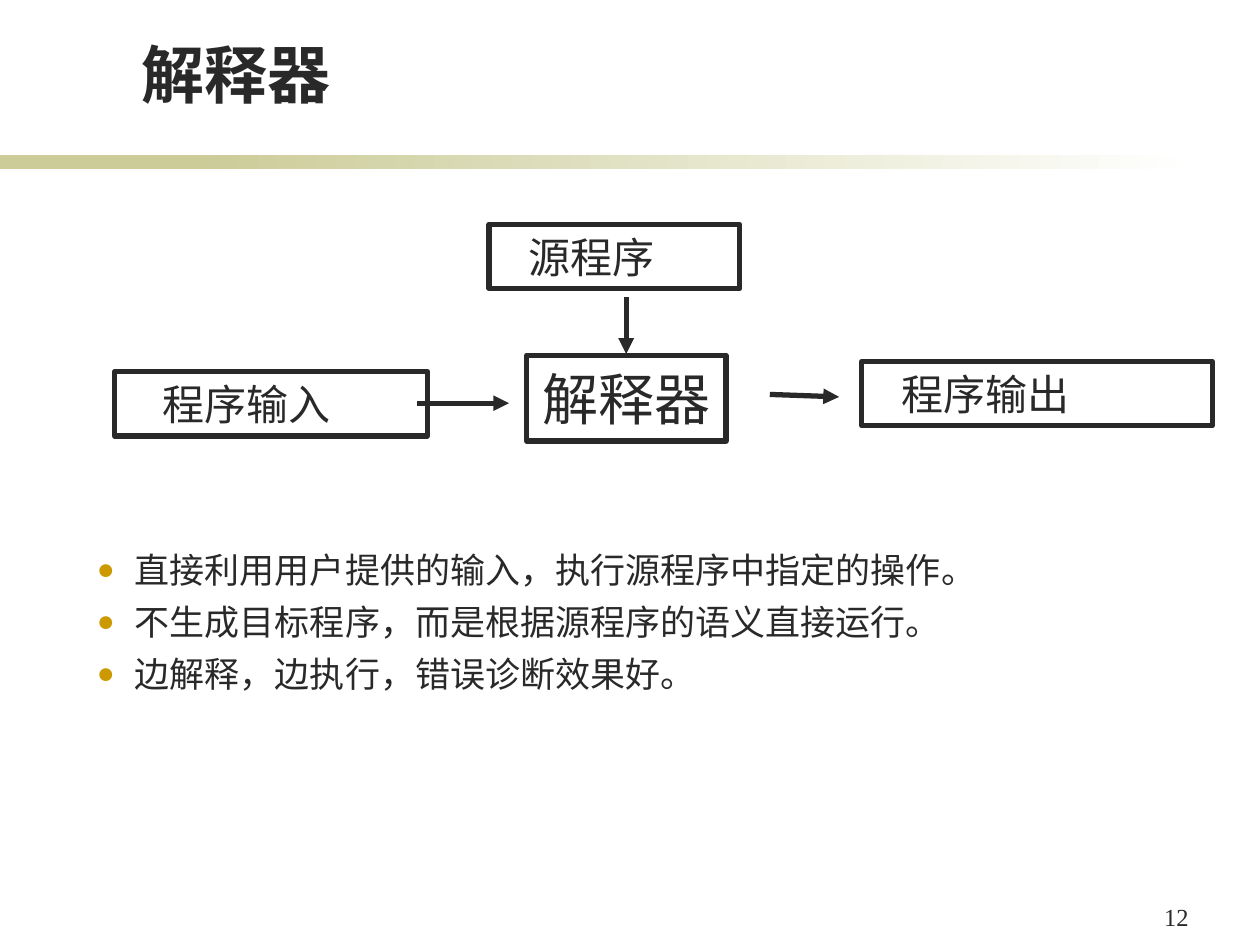
from lxml.etree import SubElement
from pptx import Presentation
from pptx.dml.color import RGBColor
from pptx.enum.shapes import MSO_CONNECTOR, MSO_SHAPE
from pptx.enum.text import MSO_ANCHOR, MSO_AUTO_SIZE, PP_ALIGN
from pptx.oxml.ns import qn
from pptx.util import Pt

COLORS = {"ink": "292929", "band": "CCCC99", "paper": "FFFFFF", "bullet": "CC9900"}


def color(name):
    return RGBColor.from_string(COLORS[name])


class SlideBuilder:
    """Holds the style and the current slide; lengths are in points."""

    font = "Arial"
    line_width = 3

    def __init__(self, page):
        self.page = page

    def place(self, box, left, top, width, height):
        box.left, box.top = Pt(left), Pt(top)
        box.width, box.height = Pt(width), Pt(height)

    def add_span(self, para, text, size, bold=False, font=None):
        span = para.add_run()
        span.text = text
        span.font.name = font or self.font
        span.font.size = Pt(size)
        span.font.bold = bold
        span.font.color.rgb = color("ink")

    def band(self, left, top, width, height, fade=False):
        shape = self.page.shapes.add_shape(
            MSO_SHAPE.RECTANGLE, Pt(left), Pt(top), Pt(width), Pt(height))
        shape.shadow.inherit = False
        shape.line.fill.background()
        if fade:
            shape.fill.gradient()
            shape.fill.gradient_angle = 0
            for stop, name in zip(shape.fill.gradient_stops, ("band", "paper")):
                stop.color.rgb = color(name)
        else:
            shape.fill.solid()
            shape.fill.fore_color.rgb = color("band")

    def title(self, text, *place):
        box = self.page.shapes.title
        self.place(box, *place)
        frame = box.text_frame
        frame.auto_size = MSO_AUTO_SIZE.NONE
        frame.vertical_anchor = MSO_ANCHOR.BOTTOM
        para = frame.paragraphs[0]
        para.alignment = PP_ALIGN.LEFT
        self.add_span(para, text, 36, bold=True)

    def bullets(self, lines, *place):
        box = self.page.placeholders[1]
        self.place(box, *place)
        frame = box.text_frame
        frame.auto_size = MSO_AUTO_SIZE.NONE
        for index, line in enumerate(lines):
            para = frame.add_paragraph() if index else frame.paragraphs[0]
            para.space_before = Pt(5.8)
            self.add_span(para, line, 20)
            self.add_bullet(para)

    def add_bullet(self, para):
        props = para._p.get_or_add_pPr()
        props.set("marL", str(Pt(21.6)))
        props.set("indent", str(-Pt(21.6)))
        tint = SubElement(props, qn("a:buClr"))
        SubElement(tint, qn("a:srgbClr"), val=COLORS["bullet"])
        SubElement(props, qn("a:buSzPct"), val="85000")
        SubElement(props, qn("a:buFont"), typeface=self.font)
        SubElement(props, qn("a:buChar"), char="●")

    def label_box(self, text, left, top, width, height, size=24, indent=None):
        """Outlined box; text is centred unless an indent is given."""
        box = self.page.shapes.add_shape(
            MSO_SHAPE.RECTANGLE, Pt(left), Pt(top), Pt(width), Pt(height))
        box.shadow.inherit = False
        box.fill.background()
        box.line.color.rgb = color("ink")
        box.line.width = Pt(self.line_width)
        frame = box.text_frame
        frame.word_wrap = indent is not None
        frame.vertical_anchor = MSO_ANCHOR.MIDDLE
        para = frame.paragraphs[0]
        if indent is None:
            para.alignment = PP_ALIGN.CENTER
        else:
            para.alignment = PP_ALIGN.LEFT
            para._p.get_or_add_pPr().set("marL", str(Pt(indent)))
        self.add_span(para, text, size)

    def arrow(self, *ends):
        line = self.page.shapes.add_connector(
            MSO_CONNECTOR.STRAIGHT, *(Pt(value) for value in ends))
        line.line.color.rgb = color("ink")
        line.line.width = Pt(self.line_width)
        SubElement(line.line._get_or_add_ln(), qn("a:tailEnd"), type="triangle")
        SubElement(line._element.spPr, qn("a:effectLst"))

    def page_number(self, text, left, top, width, height):
        box = self.page.shapes.add_textbox(Pt(left), Pt(top), Pt(width), Pt(height))
        box.text_frame.word_wrap = True
        self.add_span(box.text_frame.paragraphs[0], text, 14, font="Times New Roman")


def main():
    deck = Presentation()
    deck.slide_width, deck.slide_height = Pt(720), Pt(540)
    slide = SlideBuilder(deck.slides.add_slide(deck.slide_layouts[1]))

    # Band under the title, fading to the right
    slide.band(0, 88.6, 168, 7.9)
    slide.band(113.8, 88.6, 570.2, 7.9, fade=True)
    slide.page_number("12", 658.1, 511.9, 33.8, 24.5)

    # Title and list
    slide.title("解释器", 73.4, 16.6, 528.5, 50.4)
    slide.bullets([
        "直接利用用户提供的输入，执行源程序中指定的操作。",
        "不生成目标程序，而是根据源程序的语义直接运行。",
        "边解释，边执行，错误诊断效果好。",
    ], 48.2, 309.6, 630, 96.5)

    # Interpreter with its inputs and output
    slide.label_box("解释器", 301, 203, 113.8, 49, size=32)
    slide.label_box("源程序", 279.4, 128.2, 143.3, 36.7, indent=15.5)
    slide.label_box("程序输入", 65.5, 212.4, 178.6, 36.7, indent=20.5)
    slide.label_box("程序输出", 492.5, 206.6, 200.2, 36.7, indent=15.5)

    # Arrows
    slide.arrow(357.8, 169.9, 357.8, 202.3)
    slide.arrow(238.3, 230.4, 290.9, 230.4)
    slide.arrow(439.9, 225.4, 479.5, 226.8)

    deck.save("out.pptx")


if __name__ == "__main__":
    main()
